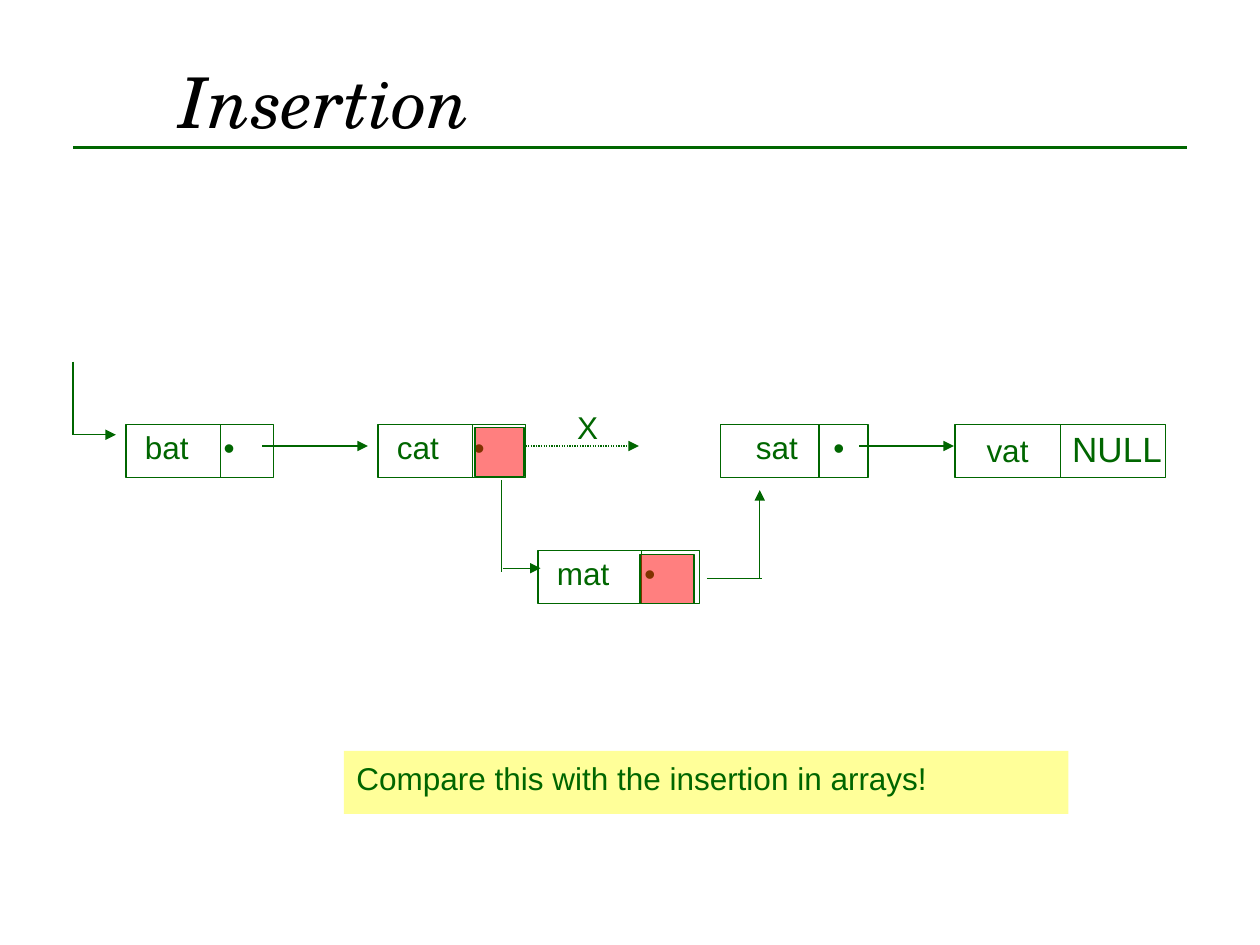
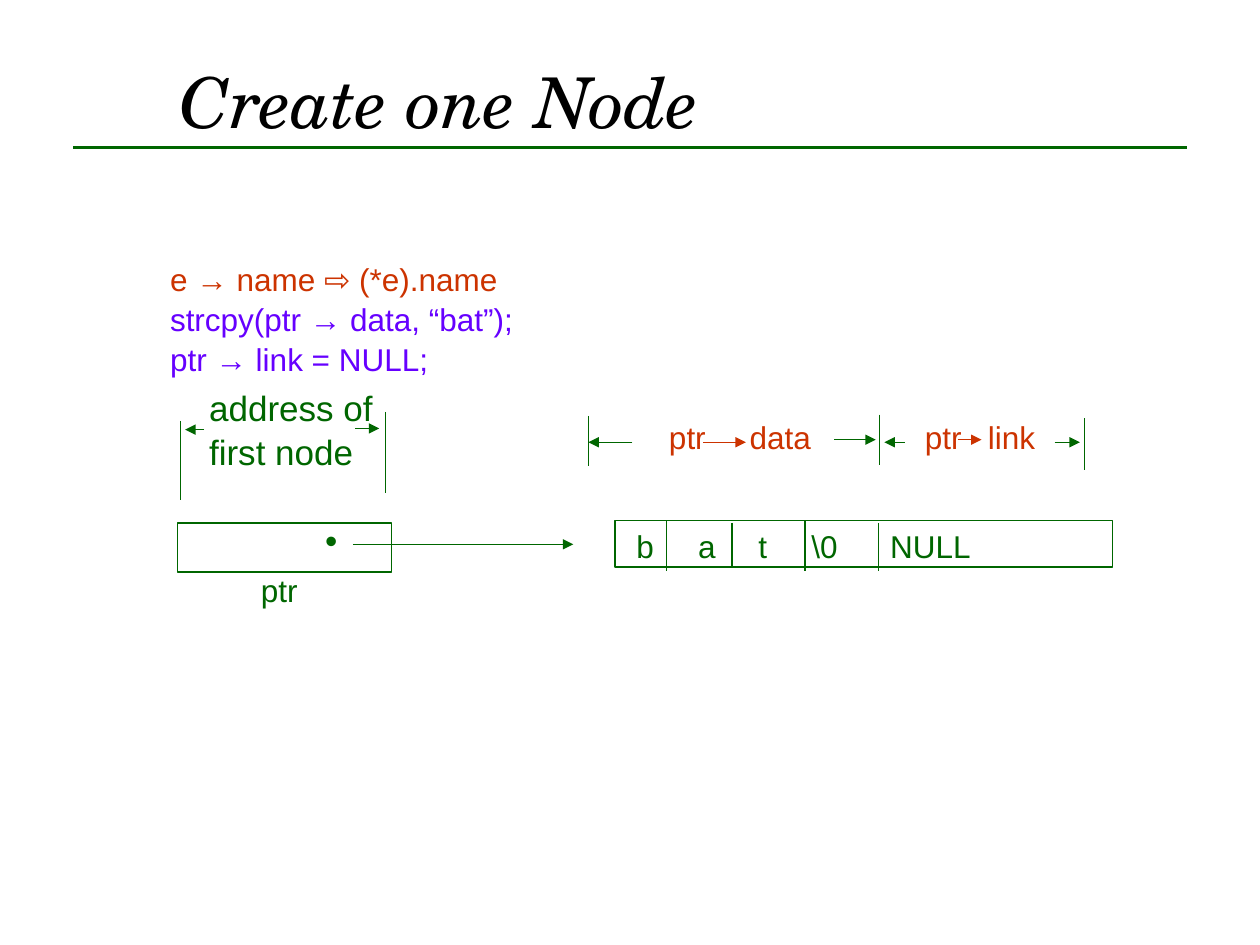
from dataclasses import dataclass

from lxml import etree
from pptx import Presentation
from pptx.dml.color import RGBColor
from pptx.enum.dml import MSO_LINE
from pptx.enum.shapes import MSO_CONNECTOR, MSO_SHAPE
from pptx.enum.text import MSO_ANCHOR, PP_ALIGN
from pptx.oxml.ns import qn
from pptx.util import Inches, Pt

STRAIGHT = MSO_CONNECTOR.STRAIGHT
RECTANGLE = MSO_SHAPE.RECTANGLE
DOTTED = MSO_LINE.ROUND_DOT
LEFT = PP_ALIGN.LEFT
TOP, MIDDLE = MSO_ANCHOR.TOP, MSO_ANCHOR.MIDDLE
TOP_SIDE, BOTTOM_SIDE = 0, 2

WIDTH, HEIGHT = Inches(10), Inches(7.5)
COLUMNS, ROWS = 100, 75

GREEN, ORANGE, PURPLE = "006600", "CC3300", "6600FF"
YELLOW, RED, BLACK = "FFFF99", "FF0000", "000000"
BODY_FONT, TITLE_FONT = "Arial", "TeX Gyre Schola"
LINE_SPACING = 1.05
NODE_ROW, NODE_ROWS = 33.7, 4.2


@dataclass(frozen=True)
class Span:
    text: str
    color: str = GREEN
    size: int = 18
    font: str = BODY_FONT
    italic: bool = False
    spacing: float = LINE_SPACING


@dataclass(frozen=True)
class Label:
    column: float
    row: float
    spans: tuple[Span, ...]
    columns: float = 8


@dataclass(frozen=True)
class Block:
    column: float
    row: float
    columns: float
    rows: float
    fill: str | None = None
    opacity: int = 100
    line: str | None = GREEN


@dataclass(frozen=True)
class Stroke:
    start: tuple[float, float]
    end: tuple[float, float]
    arrow: bool = False
    color: str = GREEN
    weight: float = 0.75
    dash: object = None


@dataclass(frozen=True)
class Node:
    word: str
    column: float
    row: float
    columns: float
    split: float
    word_column: float
    dot_column: float | None = None


def across(columns: float) -> int:
    return round(WIDTH * columns / COLUMNS)


def down(rows: float) -> int:
    return round(HEIGHT * rows / ROWS)


def paint(color: str) -> RGBColor:
    return RGBColor.from_string(color)


def write(box, spans: tuple[Span, ...], **frame_format) -> None:
    frame = box.text_frame
    for name, value in ({"word_wrap": True, "vertical_anchor": TOP} | frame_format).items():
        setattr(frame, name, value)
    for index, span in enumerate(spans):
        para = frame.add_paragraph() if index else frame.paragraphs[0]
        para.alignment, para.line_spacing = LEFT, span.spacing
        run = para.add_run()
        run.text = span.text
        formats = {"name": span.font, "size": Pt(span.size), "italic": span.italic}
        for name, value in formats.items():
            setattr(run.font, name, value)
        run.font.color.rgb = paint(span.color)


def add_label(page, label: Label) -> None:
    height = sum(Pt(span.size * 1.15 * LINE_SPACING) for span in label.spans)
    box = page.shapes.add_textbox(
        across(label.column), down(label.row), across(label.columns), height)
    margins = dict.fromkeys(
        ("margin_left", "margin_top", "margin_right", "margin_bottom"), 0)
    write(box, label.spans, **margins)


def add_block(page, block: Block):
    box = page.shapes.add_shape(
        RECTANGLE, across(block.column), down(block.row),
        across(block.columns), down(block.rows))
    box.shadow.inherit = False
    if block.fill:
        box.fill.solid()
        box.fill.fore_color.rgb = paint(block.fill)
        if block.opacity < 100:
            color = box.fill._xPr.find(qn("a:solidFill"))[0]
            etree.SubElement(color, qn("a:alpha"), val=str(block.opacity * 1000))
    else:
        box.fill.background()
    if block.line:
        box.line.color.rgb = paint(block.line)
        box.line.width = Pt(0.75)
    else:
        box.line.fill.background()
    return box


def add_stroke(page, stroke: Stroke):
    (left, top), (right, bottom) = stroke.start, stroke.end
    connector = page.shapes.add_connector(
        STRAIGHT, across(left), down(top), across(right), down(bottom))
    connector.line.color.rgb = paint(stroke.color)
    connector.line.width = Pt(stroke.weight)
    if stroke.dash:
        connector.line.dash_style = stroke.dash
    properties = connector._element.spPr
    if stroke.arrow:
        etree.SubElement(properties.find(qn("a:ln")), qn("a:tailEnd"), type="triangle")
    etree.SubElement(properties, qn("a:effectLst"))
    return connector


def add_node(page, node: Node) -> None:
    box = add_block(page, Block(node.column, node.row, node.columns, NODE_ROWS))
    split = node.column + node.split
    divider = add_stroke(page, Stroke((split, node.row), (split, node.row + NODE_ROWS)))
    if node.split * 2 == node.columns:
        divider.begin_connect(box, TOP_SIDE)
        divider.end_connect(box, BOTTOM_SIDE)
    text_row = node.row + 0.1
    if node.dot_column:
        add_label(page, Label(node.word_column, text_row, (Span(node.word),), 5))
        add_label(page, Label(node.dot_column, text_row, (Span("•"),), 1.5))
    else:
        add_label(page, Label(node.word_column, text_row + 0.25, (Span(node.word),), 5))
        add_label(page, Label(85.1, text_row, (Span("NULL", size=20),)))


def start_page(deck, title: str):
    page = deck.slides.add_slide(deck.slide_layouts[6])
    add_stroke(page, Stroke((5.8, 11.7), (94.2, 11.7), weight=1.5))
    box = page.shapes.add_textbox(across(13.3), down(1.7), across(85), down(12.5))
    span = Span(title, BLACK, 40, TITLE_FONT, italic=True, spacing=1.0)
    write(box, (span,), vertical_anchor=MIDDLE)
    return page


def build_insertion(deck) -> None:
    page = start_page(deck, "Insertion")
    caption = add_block(page, Block(27.3, 59.6, 57.5, 5, YELLOW, line=None))
    write(caption, (Span("Compare this with the insertion in arrays!"),))

    nodes = (
        Node("bat", 10, NODE_ROW, 11.7, 7.5, 11.5, 17.75),
        Node("cat", 30, NODE_ROW, 11.7, 7.5, 31.5, 37.6),
        Node("sat", 57.2, NODE_ROW, 11.7, 7.8, 60, 66.15),
        Node("vat", 75.8, NODE_ROW, 16.7, 8.35, 78.3),
        Node("mat", 42.7, NODE_ROW + 10, 12.8, 8.2, 44.2, 51.15),
    )
    for node in nodes:
        add_node(page, node)

    link_row = 35.4
    strokes = (
        Stroke((5.8, 28.7), (5.8, 34.5)),
        Stroke((5.8, 34.5), (9.2, 34.5), arrow=True),
        Stroke((20.8, link_row), (29.2, link_row), arrow=True),
        Stroke((41.5, link_row), (50.7, link_row), arrow=True, dash=DOTTED),
        Stroke((68.2, link_row), (75.7, link_row), arrow=True),
        Stroke((39.8, 38.1), (39.8, 45.4)),
        Stroke((39.9, 45.1), (42.9, 45.1), arrow=True),
        Stroke((56.1, 45.9), (60.5, 45.9)),
        Stroke((60.3, 45.9), (60.3, 38.9), arrow=True),
    )
    for stroke in strokes:
        add_stroke(page, stroke)

    add_block(page, Block(37.7, 33.9, 3.9, 3.9, RED, 50))
    add_block(page, Block(50.8, 44, 4.3, 3.9, RED, 50))
    add_label(page, Label(45.8, 32.2, (Span("X"),), 2))


def build_create_node(deck) -> None:
    page = start_page(deck, "Create one Node")
    add_block(page, Block(14.1, 41.5, 17, 3.9))
    add_block(page, Block(48.8, 41.3, 39.5, 3.7))

    cell_edges = ((52.9, 41.3, 45.3), (58.1, 41.5, 45.1),
                  (63.9, 41.3, 45.3), (69.7, 41.5, 45.3))
    measure_ends = ((14.3, 33.4, 39.7), (30.6, 32.7, 39.1), (46.7, 33, 37),
                    (69.8, 32.9, 36.9), (86.1, 33.2, 37.3))
    for column, top, bottom in cell_edges + measure_ends:
        add_stroke(page, Stroke((column, top), (column, bottom)))

    arrows = (
        (28, 45.5, 43.2, GREEN),
        (16.2, 14.7, 34.1, GREEN), (28.2, 30.1, 34, GREEN),
        (50.2, 46.7, 35.1, GREEN), (66.2, 69.5, 34.9, GREEN),
        (71.8, 70.2, 35.1, GREEN), (83.7, 85.7, 35.1, GREEN),
        (55.8, 59.2, 35.1, ORANGE), (76, 77.9, 34.9, ORANGE),
    )
    for start, end, row, color in arrows:
        add_stroke(page, Stroke((start, row), (end, row), True, color))

    cells = (("b", 50.5), ("a", 55.4), ("t", 60.2), ("\\0", 64.4), ("NULL", 70.65))
    for text, column in cells:
        add_label(page, Label(column, 41.65, (Span(text),)))

    measures = (("ptr", 53.1), ("data", 59.5), ("ptr", 73.4), ("link", 78.4))
    for text, column in measures:
        add_label(page, Label(column, 33, (Span(text, ORANGE),)))

    code = (
        Span("e → name ⇨ (*e).name", ORANGE),
        Span("strcpy(ptr → data, “bat”);", PURPLE),
        Span("ptr → link = NULL;", PURPLE),
    )
    address = (Span("address of", size=20), Span("first node", size=20))
    labels = (
        Label(25.8, 41, (Span("•", size=20),), 1.5),
        Label(16.6, 30.5, address, 15.6),
        Label(20.7, 45.2, (Span("ptr"),), 4),
        Label(13.5, 20.5, code, 34),
    )
    for label in labels:
        add_label(page, label)


def main() -> None:
    deck = Presentation()
    deck.slide_width, deck.slide_height = WIDTH, HEIGHT
    build_insertion(deck)
    build_create_node(deck)
    deck.save("out.pptx")


if __name__ == "__main__":
    main()
